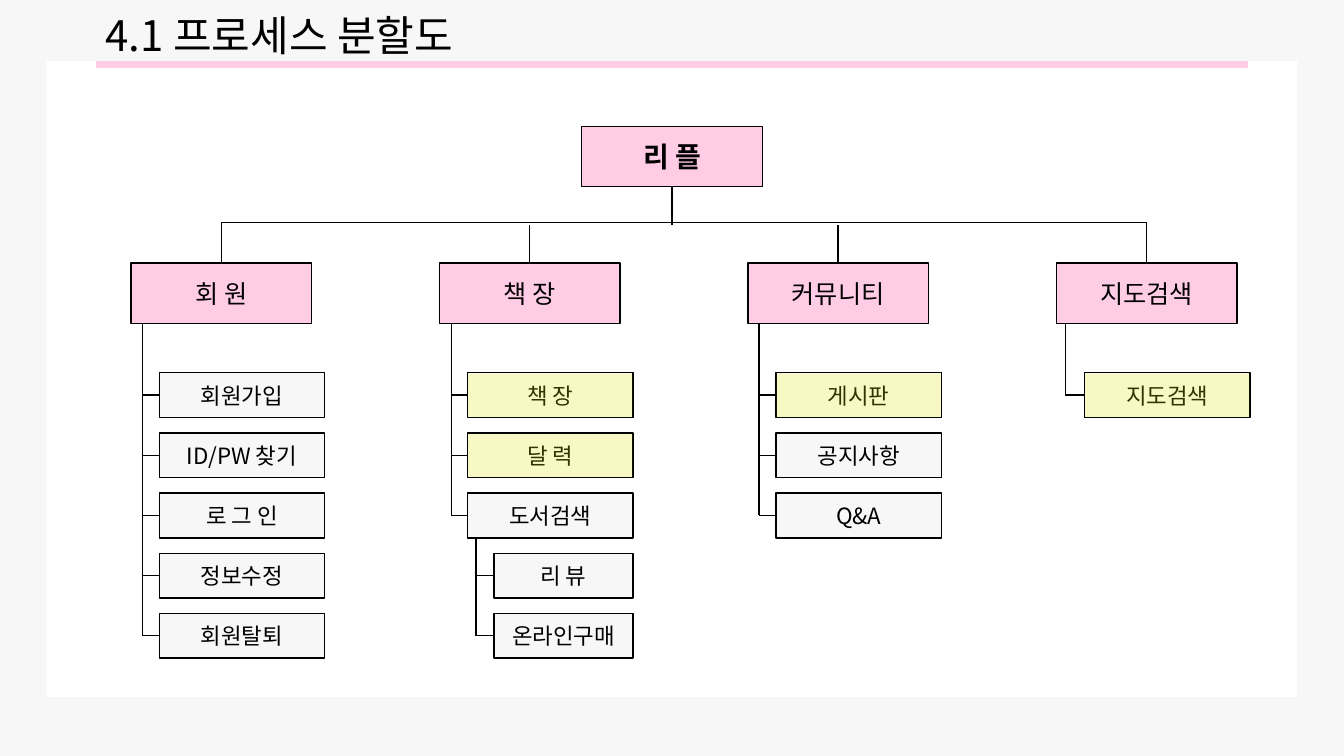
from lxml.etree import SubElement
from pptx import Presentation
from pptx.dml.color import RGBColor
from pptx.enum.shapes import MSO_CONNECTOR, MSO_SHAPE
from pptx.enum.text import MSO_ANCHOR, PP_ALIGN
from pptx.oxml.ns import qn
from pptx.util import Pt

TITLE = "4.1 프로세스 분할도"
ROOT = "리 플"
# heading, spine offset, items, sub-items of the last item
BRANCHES = [
    ("회 원", 8, ["회원가입", "ID/PW 찾기", "로 그 인", "정보수정", "회원탈퇴"], []),
    ("책 장", 8.6, ["책 장", "달 력", "도서검색"], ["리 뷰", "온라인구매"]),
    ("커뮤니티", 8, ["게시판", "공지사항", "Q&A"], []),
    ("지도검색", 6.5, ["지도검색"], []),
]
HIGHLIGHTED = [(1, 0), (1, 1), (2, 0), (3, 0)]  # branch, row

FONT = "Noto Sans CJK KR"
BLACK = RGBColor(0, 0, 0)
WHITE = RGBColor(255, 255, 255)
GRAY = RGBColor(0xF7, 0xF7, 0xF7)
PINK = RGBColor(0xFF, 0xCC, 0xE5)
YELLOW = RGBColor(255, 255, 0)

BRANCH_X, BRANCH_STEP = 93.6, 220.3
HEAD_W, HEAD_H = 129, 42.9
ROOT_X, ROOT_Y, HEAD_Y = 415.5, 90.2, 188
BUS_Y, JOINT_Y = 159, 160.6
ITEM_W, ITEM_H, ITEM_INDENT = 118.1, 32, 20.2
ROW_Y, ROW_STEP = 266.3, 42.95
SUB_INDENT, SUB_SPINE = 18.7, 26

prs = Presentation()
prs.slide_width, prs.slide_height = Pt(960), Pt(540)
s = prs.slides.add_slide(prs.slide_layouts[6])
s.background.fill.solid()
s.background.fill.fore_color.rgb = GRAY


def add_text(tf, text, size=16, bold=False, align=PP_ALIGN.CENTER,
             anchor=MSO_ANCHOR.MIDDLE, spacing=None):
    tf.word_wrap = True
    tf.vertical_anchor = anchor
    p = tf.paragraphs[0]
    p.alignment = align
    if spacing:
        p.line_spacing = spacing
    r = p.add_run()
    r.text = text
    r.font.size, r.font.bold, r.font.name = Pt(size), bold, FONT
    r.font.color.rgb = BLACK
    SubElement(r.font._element, qn("a:ea")).set("typeface", FONT)


def add_rect(x, y, w, h, fill, outlined=False, alpha=None):
    sp = s.shapes.add_shape(MSO_SHAPE.RECTANGLE, Pt(x), Pt(y), Pt(w), Pt(h))
    sp.shadow.inherit = False
    sp.fill.solid()
    sp.fill.fore_color.rgb = fill
    if alpha:
        color = sp.fill._xPr.find(qn("a:solidFill"))[0]
        SubElement(color, qn("a:alpha")).set("val", str(alpha * 1000))
    if outlined:
        sp.line.color.rgb, sp.line.width = BLACK, Pt(1)
    else:
        sp.line.fill.background()
    return sp


def add_box(x, y, w, h, text, fill=GRAY, **fmt):
    add_text(add_rect(x, y, w, h, fill, outlined=True).text_frame, text, **fmt)


def add_line(x1, y1, x2, y2, color=BLACK, width=1):
    line = s.shapes.add_connector(MSO_CONNECTOR.STRAIGHT, Pt(x1), Pt(y1), Pt(x2), Pt(y2))
    line.line.color.rgb, line.line.width = color, Pt(width)
    SubElement(line._element.spPr, qn("a:effectLst"))


def row_top(row):
    return ROW_Y + row * ROW_STEP


def add_list(labels, first_row, x, w, spine_x, spine_top):
    """Stack item boxes and join them to a vertical spine on their left."""
    for row, label in enumerate(labels, first_row):
        add_box(x, row_top(row), w, ITEM_H, label)
        middle = row_top(row) + ITEM_H / 2
        add_line(x, middle, spine_x, middle)
    add_line(spine_x, spine_top, spine_x, middle)


add_rect(33.4, 43.7, 893.2, 454.3, WHITE)
add_line(68.4, 46.1, 891.4, 46.1, PINK, 5)
title = s.shapes.add_textbox(Pt(68.4), Pt(10.8), Pt(398), Pt(33)).text_frame
title.margin_top = title.margin_bottom = 0
add_text(title, TITLE, size=30, align=PP_ALIGN.LEFT, anchor=MSO_ANCHOR.TOP, spacing=0.9)

add_box(ROOT_X, ROOT_Y, HEAD_W, HEAD_H, ROOT, PINK, size=20, bold=True)
root_center = ROOT_X + HEAD_W / 2
add_line(root_center, ROOT_Y + HEAD_H, root_center, JOINT_Y)

head_xs = [BRANCH_X + i * BRANCH_STEP for i in range(len(BRANCHES))]
centers = [x + HEAD_W / 2 for x in head_xs]
add_line(centers[0], BUS_Y, centers[-1], BUS_Y)

for x, center, (heading, spine, items, subs) in zip(head_xs, centers, BRANCHES):
    outer = center in (centers[0], centers[-1])
    add_line(center, BUS_Y if outer else JOINT_Y, center, HEAD_Y)
    add_box(x, HEAD_Y, HEAD_W, HEAD_H, heading, PINK, size=18)
    item_x = x + ITEM_INDENT
    add_list(items, 0, item_x, ITEM_W, x + spine, HEAD_Y + HEAD_H)
    if subs:
        add_list(subs, len(items), item_x + SUB_INDENT, ITEM_W - SUB_INDENT,
                 x + SUB_SPINE, row_top(len(items) - 1) + ITEM_H)

for branch, row in HIGHLIGHTED:
    add_rect(head_xs[branch] + ITEM_INDENT + 0.4, row_top(row) + 0.6,
             ITEM_W - 0.8, ITEM_H - 1, YELLOW, alpha=20)

prs.save("out.pptx")
